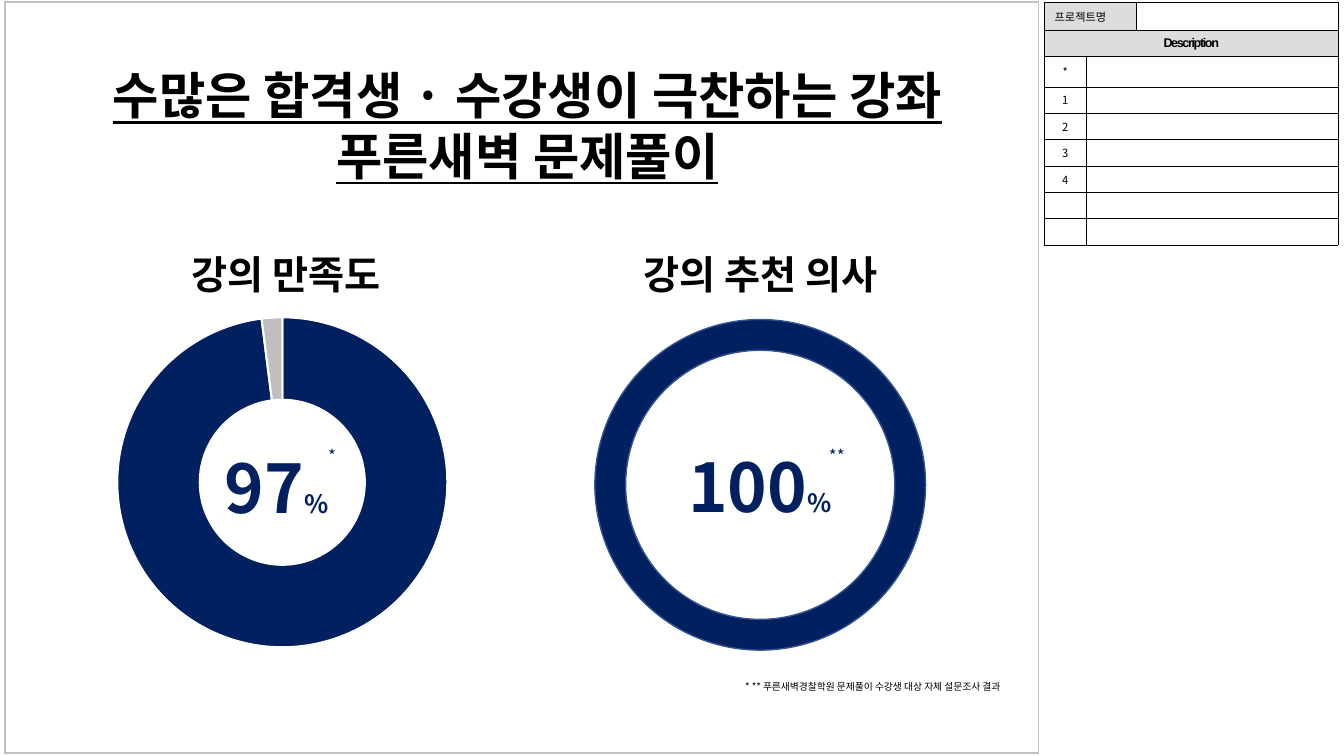
from collections import namedtuple

from lxml import etree
from pptx import Presentation
from pptx.chart.data import CategoryChartData
from pptx.dml.color import RGBColor
from pptx.enum.chart import XL_CHART_TYPE
from pptx.enum.shapes import MSO_SHAPE as Preset
from pptx.enum.text import MSO_ANCHOR as Anchor, PP_ALIGN as Align
from pptx.enum.text import MSO_AUTO_SIZE as AutoSize
from pptx.oxml.ns import qn
from pptx.util import Inches, Pt

COLORS = {"ink": "000000", "navy": "002060", "ring_edge": "325491", "rest": "BFBFBF",
          "frame": "C0C0C0", "header": "DDDDDD", "paper": "FFFFFF"}
KOREAN, LATIN = "Noto Sans CJK KR", "Arial"

HEADING = {"size": Pt(36), "bold": True, "underline": True}
LABEL = {"size": Pt(28), "bold": True}
FIGURE = {"size": Pt(48), "bold": True}
UNIT = {"size": Pt(18), "bold": True}
MARK = {"size": Pt(12)}
NOTE = {"size": Pt(7)}
CELL = {"size": Pt(8), "bold": False}
CELL_HEADER = {"size": Pt(9), "bold": True, "name": LATIN}

Box = namedtuple("Box", "left top width height")


def color(name):
    return RGBColor.from_string(COLORS[name])


def lengths(box):
    return [Inches(value) for value in box]


def format_font(font, values, color_name="ink"):
    for attribute, value in {"name": KOREAN, **values}.items():
        setattr(font, attribute, value)
    font.color.rgb = color(color_name)


def add_run(paragraph, text, values, color_name="ink"):
    run = paragraph.add_run()
    run.text = text
    format_font(run.font, values, color_name)
    properties = run.font._element
    east_asian = etree.Element(qn("a:ea"), typeface=run.font.name)
    properties.find(qn("a:latin")).addnext(east_asian)
    return run


def fill_text(shape, lines, color_name="ink", align=Align.CENTER, wrap=False):
    """Each line is a list of (text, font values) runs."""
    frame = shape.text_frame
    frame.word_wrap = wrap
    frame.auto_size = AutoSize.NONE
    frame.vertical_anchor = Anchor.TOP
    for index, runs in enumerate(lines):
        paragraph = frame.add_paragraph() if index else frame.paragraphs[0]
        paragraph.alignment = align
        for text, values in runs:
            add_run(paragraph, text, values, color_name)


def add_text(slide, box, runs, **options):
    fill_text(slide.shapes.add_textbox(*lengths(box)), [runs], **options)


def add_preset(slide, preset, box, line, fill=None):
    shape = slide.shapes.add_shape(preset, *lengths(box))
    shape.shadow.inherit = False
    if fill:
        shape.fill.solid()
        shape.fill.fore_color.rgb = color(fill)
    else:
        shape.fill.background()
    shape.line.color.rgb = color(line)
    shape.line.width = Pt(1)
    return shape


# Page frame and heading
def build_page(slide, box):
    add_preset(slide, Preset.RECTANGLE, box, "frame")
    title = slide.shapes.title
    title.left, title.top, title.width, title.height = lengths(
        Box(box.left + 0.61, box.top + 0.57, 9.14, 1.31))
    fill_text(title, [[("수많은 합격생 · 수강생이 극찬하는 강좌", HEADING)],
                      [("푸른새벽 문제풀이", HEADING)]])
    note_box = Box(box.left + 4.3, box.top + 6.68, 5.67, 0.22)
    add_text(slide, note_box,
             [("* ** 푸른새벽경찰학원 문제풀이 수강생 대상 자체 설문조사 결과", NOTE)],
             align=Align.RIGHT, wrap=True)


# Percentage with its footnote mark
def build_figure(slide, box, number, mark, mark_box):
    add_text(slide, box, [(number, FIGURE), ("%", UNIT)], color_name="navy")
    add_text(slide, mark_box, [(mark, MARK)], color_name="navy")


# Satisfaction: doughnut chart
def build_satisfaction(slide, box):
    data = CategoryChartData()
    data.categories = ["1", "2"]
    data.add_series("Series 1", (98, 2))
    chart_box = Box(box.left, box.top + 0.58, box.width, 3.55)
    chart = slide.shapes.add_chart(XL_CHART_TYPE.DOUGHNUT, *lengths(chart_box), data).chart
    chart.has_legend = False
    chart.has_title = False
    format_font(chart.font, {"size": Pt(10)})
    plot = chart.plots[0]
    plot.vary_by_categories = True
    plot._element.find(qn("c:holeSize")).set("val", "78")
    for index, name in enumerate(("navy", "rest")):
        point = plot.series[0].points[index].format
        point.fill.solid()
        point.fill.fore_color.rgb = color(name)
        point.line.color.rgb = color("paper")
        point.line.width = Pt(1.5)

    add_text(slide, Box(box.left + 1.56, box.top, 2.27, 0.57), [("강의 만족도", LABEL)])
    build_figure(slide, Box(box.left + 1.93, box.top + 1.95, 1.35, 0.91), "97", "*",
                 Box(box.left + 3.02, box.top + 1.94, 0.27, 0.3))


# Recommendation: full ring
def build_recommendation(slide, box):
    add_text(slide, Box(box.left + 0.25, box.top, 2.78, 0.57), [("강의 추천 의사", LABEL)])
    ring_box = Box(box.left, box.top + 0.74, box.width, box.width)
    ring = add_preset(slide, Preset.DONUT, ring_box, "ring_edge", "navy")
    ring.adjustments[0] = 0.093
    build_figure(slide, Box(box.left + 0.75, box.top + 1.94, 1.77, 0.91), "100", "**",
                 Box(box.left + 2.22, box.top + 1.94, 0.36, 0.3))


def style_cell(cell, fill):
    properties = cell._tc.get_or_add_tcPr()
    for side in ("lnL", "lnR", "lnT", "lnB"):
        border = etree.SubElement(properties, qn(f"a:{side}"), w=str(Pt(0.25)))
        solid = etree.SubElement(border, qn("a:solidFill"))
        etree.SubElement(solid, qn("a:srgbClr"), val=COLORS["ink"])
    cell.fill.solid()
    cell.fill.fore_color.rgb = color(fill)
    cell.vertical_anchor = Anchor.MIDDLE
    cell.text_frame.paragraphs[0].font.size = Pt(8)


# Description table
def build_description(slide, box):
    labels = ["프로젝트명", "Description", "*", "1", "2", "3", "4", "", ""]
    heights = [0.28, 0.26, 0.3] + [0.26] * 6
    widths = [0.41, 0.5, 2]
    table = slide.shapes.add_table(len(labels), len(widths), *lengths(box)).table
    for column, width in zip(table.columns, widths):
        column.width = Inches(width)

    for index, (label, height) in enumerate(zip(labels, heights)):
        table.rows[index].height = Inches(height)
        for column in range(len(widths)):
            is_header = index == 1 or (index == 0 and column < 2)
            style_cell(table.cell(index, column), "header" if is_header else "paper")

        first, last = {0: (0, 1), 1: (0, 2)}.get(index, (1, 2))
        table.cell(index, first).merge(table.cell(index, last))
        cell = table.cell(index, 0)
        paragraph = cell.text_frame.paragraphs[0]
        if index > 0:
            paragraph.alignment = Align.CENTER
        if index > 1:
            cell.margin_left = cell.margin_right = Inches(0.04)
        if label:
            run = add_run(paragraph, label, CELL_HEADER if index == 1 else CELL)
            if index == 1:
                run.font._element.set("spc", "-100")


def main():
    presentation = Presentation()
    presentation.slide_width = Inches(13.33)
    presentation.slide_height = Inches(7.5)
    slide = presentation.slides.add_slide(presentation.slide_layouts[5])

    build_page(slide, Box(0.05, 0.02, 10.25, 7.45))
    build_description(slide, Box(10.36, 0.02, 2.91, 2.4))
    build_satisfaction(slide, Box(0.14, 2.43, 5.32, 4.13))
    build_recommendation(slide, Box(5.9, 2.43, 3.28, 4.02))
    presentation.save("out.pptx")


if __name__ == "__main__":
    main()
